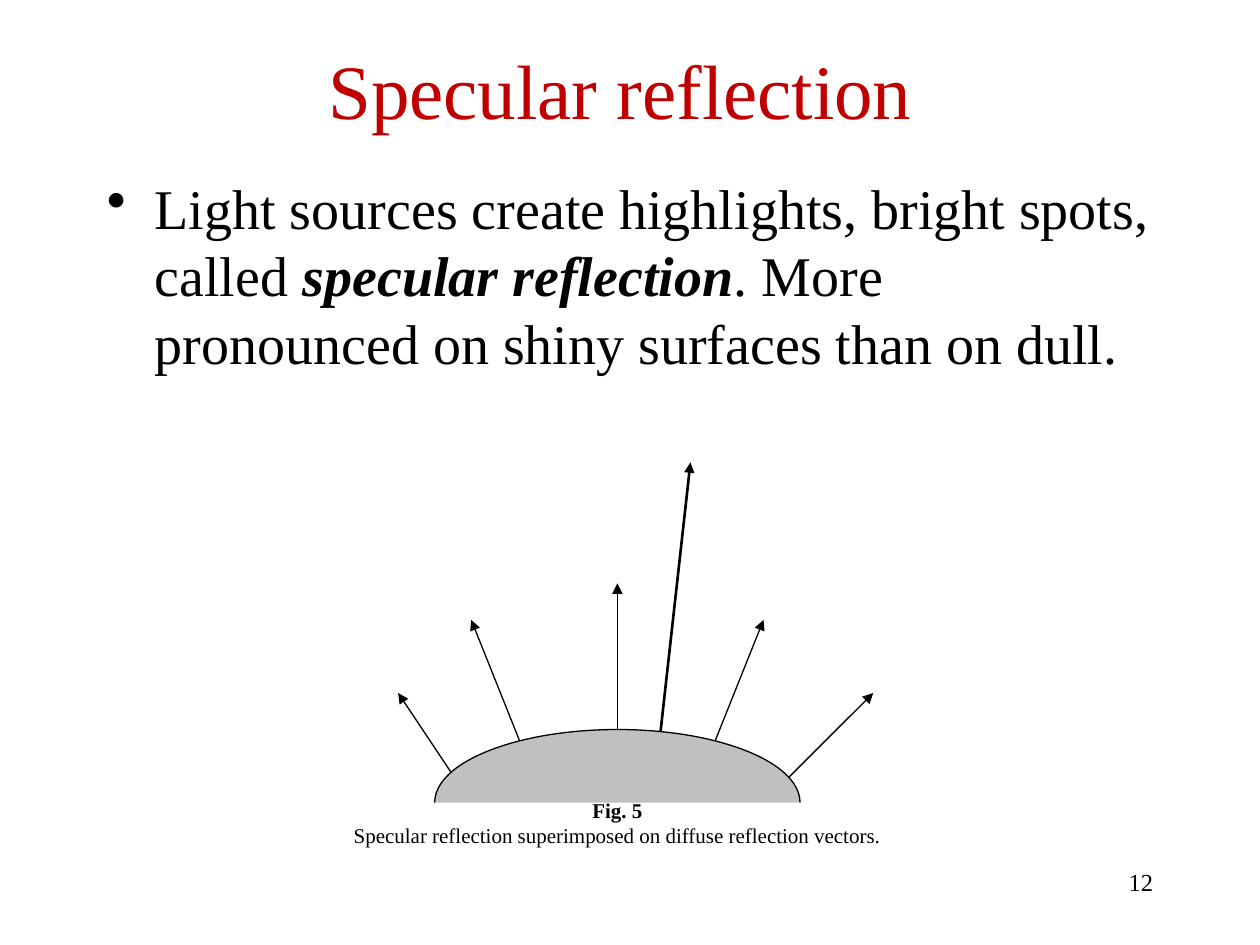
from dataclasses import dataclass

from lxml import etree
from pptx import Presentation
from pptx import util as u
from pptx.dml.color import RGBColor
from pptx.enum import shapes, text
from pptx.oxml.ns import qn


@dataclass(frozen=True)
class Theme:
    """Hold the colours, the font and the sizes."""
    font: str = "Times New Roman"
    ink: str = "000000"
    red: str = "C00000"
    gray: str = "C0C0C0"
    white: str = "FFFFFF"
    head: int = 44
    body: int = 32
    page: int = 14
    note: int = 12
    thin: float = 0.75
    bold: float = 1.5


THEME = Theme()
UNIT = 0.29


def tint(name):
    """Turn a hex string into a colour."""
    return RGBColor.from_string(name)


def style(par, size, color=THEME.ink):
    """Format every run of a paragraph."""
    for run in par.runs:
        run.font.name = THEME.font
        run.font.size = u.Pt(size)
        run.font.color.rgb = tint(color)


def add_text(slide, box, lines, size, align, color=THEME.ink):
    """Add a wrapped text box and return its frame."""
    frame = slide.shapes.add_textbox(*map(u.Inches, box)).text_frame
    frame.word_wrap = True
    frame.text = "\n".join(lines)
    for par in frame.paragraphs:
        par.alignment = align
        style(par, size, color)
    return frame


def add_title(slide, box):
    """Place the centred heading."""
    frame = add_text(slide, box, ["Specular reflection "], THEME.head,
                     text.PP_ALIGN.CENTER, THEME.red)
    frame.vertical_anchor = text.MSO_ANCHOR.MIDDLE


def add_body(slide, box):
    """Place the bullet with its stressed term."""
    frame = add_text(slide, box, [""], THEME.body, text.PP_ALIGN.LEFT)
    par = frame.paragraphs[0]
    props = par._p.get_or_add_pPr()
    props.set("marL", str(u.Inches(0.38)))
    props.set("indent", str(u.Inches(-0.38)))
    etree.SubElement(props, qn("a:buChar")).set("char", "•")
    parts = [("Light sources create highlights, bright spots, called ", False),
             ("specular reflection", True),
             (". More pronounced on shiny surfaces than on dull.", False)]
    for words, stress in parts:
        run = par.add_run()
        run.text = words
        run.font.bold = run.font.italic = stress
    style(par, THEME.body)


def add_arrow(slide, start, end, width):
    """Draw a line with a triangle at its end."""
    line = slide.shapes.add_connector(
        shapes.MSO_CONNECTOR.STRAIGHT, *map(u.Inches, start + end))
    line.line.color.rgb = tint(THEME.ink)
    line.line.width = u.Pt(width)
    tail = etree.SubElement(line.line._get_or_add_ln(), qn("a:tailEnd"))
    tail.set("type", "triangle")
    etree.SubElement(line._element.spPr, qn("a:effectLst"))


def add_shape(slide, kind, box, fill, edge=None):
    """Draw a flat shape, outlined if an edge colour is given."""
    shape = slide.shapes.add_shape(kind, *map(u.Inches, box))
    shape.shadow.inherit = False
    shape.fill.solid()
    shape.fill.fore_color.rgb = tint(fill)
    if edge:
        shape.line.color.rgb = tint(edge)
        shape.line.width = u.Pt(THEME.thin)
    else:
        shape.line.fill.background()


def add_figure(slide, box):
    """Draw the dome, its vectors and the caption on a unit grid."""
    left, top, width, height = box
    mid = left + 8 * UNIT
    base = top + 2.7
    add_arrow(slide, (mid + UNIT, base - 0.09), (mid + 2 * UNIT, top),
              THEME.bold)
    rays = [(4, 7, 3), (2, 4, 5), (0, 0, 6), (-2, -4, 5), (-4, -6, 3)]
    for foot, tip, rise in rays:
        add_arrow(slide, (mid + foot * UNIT, base),
                  (mid + tip * UNIT, base - rise * UNIT), THEME.thin)
    kind = shapes.MSO_SHAPE
    add_shape(slide, kind.OVAL,
              (mid - 5 * UNIT, base - 2 * UNIT, 10 * UNIT, 4 * UNIT),
              THEME.gray, THEME.ink)
    add_shape(slide, kind.RECTANGLE,
              (mid - 6 * UNIT, base, 12 * UNIT, 3 * UNIT), THEME.white)
    lines = ["Fig. 5",
             "Specular reflection superimposed on diffuse reflection vectors."]
    note = base - 0.09
    frame = add_text(slide, (left, note, width, top + height - note), lines,
                     THEME.note, text.PP_ALIGN.CENTER)
    frame.paragraphs[0].runs[0].font.bold = True


def add_page(slide, box):
    """Place the page number."""
    add_text(slide, box, ["12"], THEME.page, text.PP_ALIGN.RIGHT)


def main():
    """Build and save the slide."""
    deck = Presentation()
    deck.slide_width, deck.slide_height = u.Inches(10), u.Inches(7.5)
    slide = deck.slides.add_slide(deck.slide_layouts[6])
    add_page(slide, (7.17, 6.83, 2.08, 0.5))
    add_title(slide, (0.75, 0.08, 8.5, 1.25))
    add_body(slide, (0.75, 1.33, 8.5, 2.25))
    add_figure(slide, (2.58, 3.67, 4.64, 4.64))
    deck.save("out.pptx")


if __name__ == "__main__":
    main()
